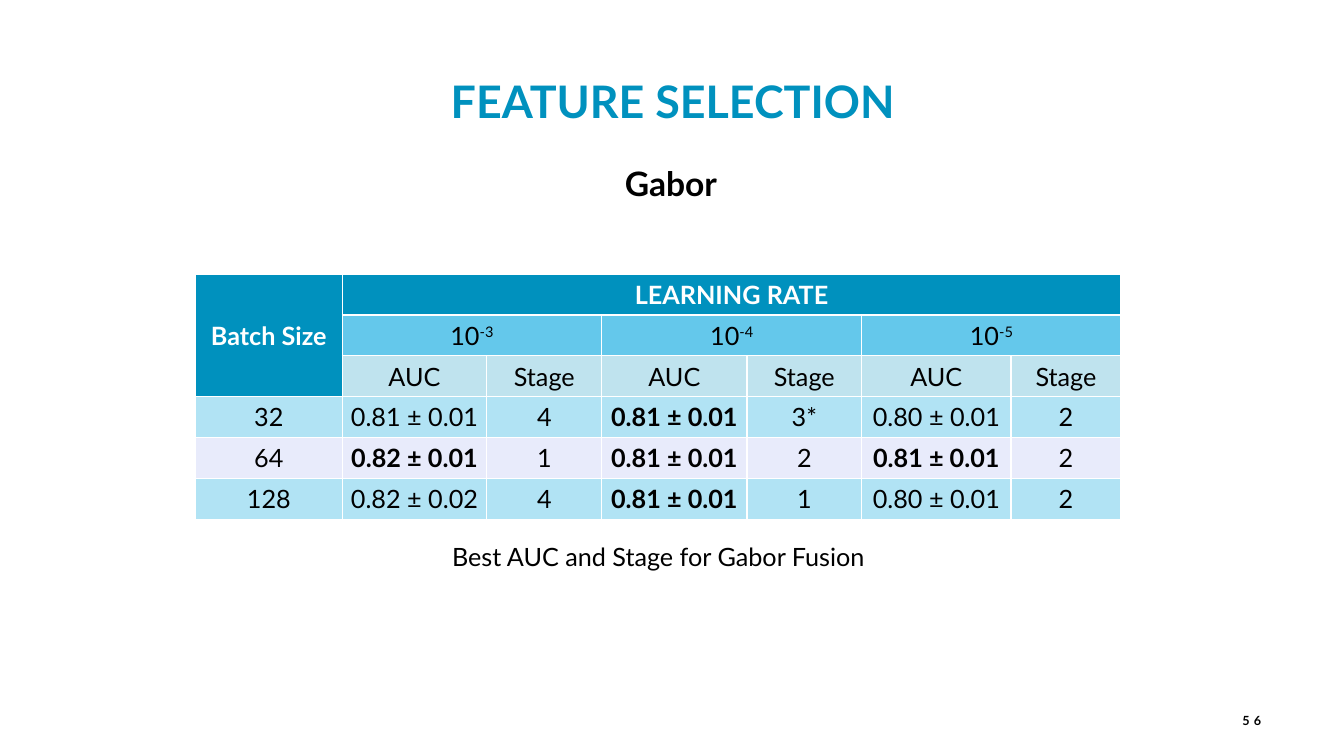
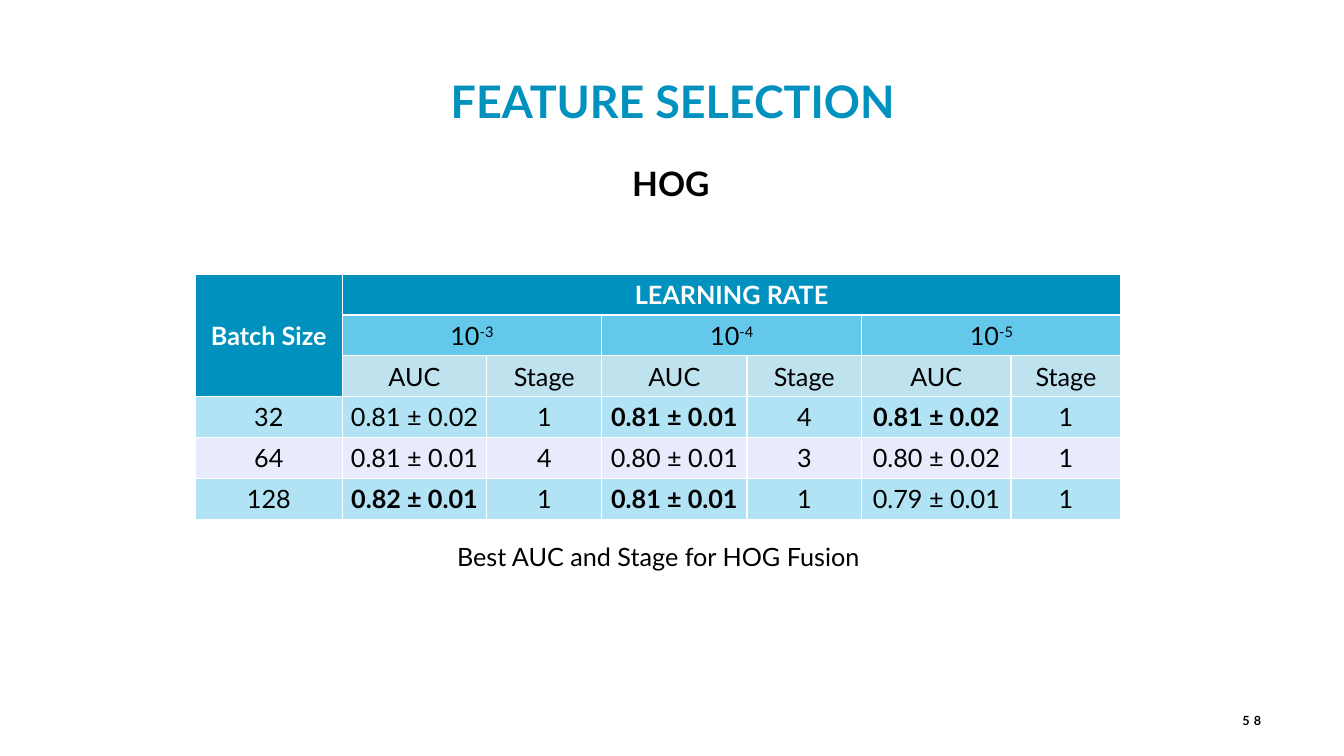
import lxml.etree
import pptx
import pptx.dml.color
import pptx.enum.text
import pptx.oxml.ns
import pptx.util

Pt = pptx.util.Pt
ALIGN = pptx.enum.text.PP_ALIGN
ANCHOR = pptx.enum.text.MSO_ANCHOR
qn = pptx.oxml.ns.qn

COLORS = {
    "blue": "0091BE",
    "sky": "64C8EB",
    "lilac": "E8EBFB",
    "black": "000000",
    "white": "FFFFFF",
}
FONT = "Lato"
TABLE_LEFT, TABLE_TOP, ROW_HEIGHT = 139.7, 195.8, 29.2
COLUMN_WIDTHS = [104.7, 103.4, 82.1, 103.7, 82, 106.6, 78.7]
TABLE_WIDTH = sum(COLUMN_WIDTHS)
RATES = ["-3", "-4", "-5"]
BATCH_SIZES = ["32", "64", "128"]
HEADER_ROWS = 3


def color(name):
    return pptx.dml.color.RGBColor.from_string(COLORS[name])


def set_attributes(target, values):
    for name, value in values.items():
        setattr(target, name, value)


class Deck:
    """Shared style together with the slide being built."""

    def __init__(self):
        self.presentation = pptx.Presentation()
        set_attributes(self.presentation,
                       {"slide_width": Pt(960), "slide_height": Pt(540)})
        self.slide = None

    def add_slide(self, subtitle, number):
        layout = self.presentation.slide_layouts[6]
        self.slide = self.presentation.slides.add_slide(layout)
        self.add_text(number, (851, 500.4, 56.9, 28.8), 9, bold=True,
                      align=ALIGN.RIGHT, anchor=ANCHOR.MIDDLE, spacing=3)
        self.add_text("FEATURE SELECTION", (0, 49, 961.2, 46), 32, "blue", True)
        self.add_text(subtitle, (-1.4, 113, 961.2, 36), 24, bold=True)

    def add_run(self, paragraph, text, size, color_name, bold, **attributes):
        run = paragraph.add_run()
        run.text = text
        set_attributes(run.font, {"name": FONT, "size": Pt(size), "bold": bold})
        run.font.color.rgb = color(color_name)
        for name, value in attributes.items():
            run.font._element.set(name, str(value))

    def add_text(self, text, box, size, color_name="black", bold=False,
                 align=ALIGN.CENTER, anchor=ANCHOR.TOP, spacing=0):
        shape = self.slide.shapes.add_textbox(*map(Pt, box))
        set_attributes(shape.text_frame,
                       {"word_wrap": True, "vertical_anchor": anchor})
        paragraph = shape.text_frame.paragraphs[0]
        paragraph.alignment = align
        self.add_run(paragraph, text, size, color_name, bold, spc=spacing * 100)

    def style_cell(self, cell, fill, opacity=100):
        cell.vertical_anchor = ANCHOR.MIDDLE
        cell.fill.solid()
        cell.fill.fore_color.rgb = color(fill)
        properties = cell._tc.get_or_add_tcPr()
        if opacity < 100:
            fill_color = properties.find(".//" + qn("a:srgbClr"))
            alpha = lxml.etree.SubElement(fill_color, qn("a:alpha"))
            alpha.set("val", str(opacity * 1000))
        # Borders come before the fill in the cell properties
        for index, side in enumerate("LRTB"):
            line = properties.makeelement(qn("a:ln" + side), {"w": str(Pt(1))})
            solid = lxml.etree.SubElement(line, qn("a:solidFill"))
            lxml.etree.SubElement(solid, qn("a:srgbClr"), val=COLORS["white"])
            properties.insert(index, line)

    def write_cell(self, cell, text, color_name="black", bold=False, exponent=""):
        paragraph = cell.text_frame.paragraphs[0]
        paragraph.alignment = ALIGN.CENTER
        self.add_run(paragraph, text, 18, color_name, bold)
        if exponent:
            self.add_run(paragraph, exponent, 18, color_name, bold, baseline=30000)

    def add_results(self, results, best):
        """results: one row per batch size; best: (row, rate) pairs in bold."""
        row_count = HEADER_ROWS + len(BATCH_SIZES)
        frame = self.slide.shapes.add_table(
            row_count, len(COLUMN_WIDTHS), Pt(TABLE_LEFT), Pt(TABLE_TOP),
            Pt(TABLE_WIDTH), Pt(ROW_HEIGHT * row_count))
        table = frame.table
        set_attributes(table, {"first_row": False, "horz_banding": False})
        for column, width in zip(table.columns, COLUMN_WIDTHS):
            column.width = Pt(width)

        # Fills and borders, row by row
        row_fills = [("blue", 100), ("sky", 100), ("blue", 25),
                     ("sky", 50), ("lilac", 100), ("sky", 50)]
        for row_index, row_fill in enumerate(row_fills):
            for column_index in range(len(COLUMN_WIDTHS)):
                in_corner = row_index < HEADER_ROWS and column_index == 0
                self.style_cell(table.cell(row_index, column_index),
                                *(("blue", 100) if in_corner else row_fill))

        # Headings
        table.cell(0, 0).merge(table.cell(HEADER_ROWS - 1, 0))
        table.cell(0, 1).merge(table.cell(0, len(COLUMN_WIDTHS) - 1))
        self.write_cell(table.cell(0, 0), "Batch Size", "white", True)
        self.write_cell(table.cell(0, 1), "LEARNING RATE", "white", True)
        for rate_index, exponent in enumerate(RATES):
            left = 1 + 2 * rate_index
            table.cell(1, left).merge(table.cell(1, left + 1))
            self.write_cell(table.cell(1, left), "10", exponent=exponent)
            self.write_cell(table.cell(2, left), "AUC")
            self.write_cell(table.cell(2, left + 1), "Stage")

        # Results
        margins = {"margin_left": Pt(2), "margin_right": Pt(2),
                   "margin_top": Pt(1.5), "margin_bottom": Pt(1.5)}
        for index, (batch_size, values) in enumerate(zip(BATCH_SIZES, results)):
            row = HEADER_ROWS + index
            table.rows[row].height = Pt(ROW_HEIGHT)
            self.write_cell(table.cell(row, 0), batch_size)
            for position, value in enumerate(values):
                rate_index, is_stage = divmod(position, 2)
                cell = table.cell(row, position + 1)
                set_attributes(cell, margins)
                bold = not is_stage and (index, rate_index) in best
                self.write_cell(cell, value, bold=bold)

    def add_caption(self, text):
        self.add_text(text, (TABLE_LEFT, 383, TABLE_WIDTH, 29), 18)


SLIDES = [
    ("Gabor", "56",
     [["0.81 ± 0.01", "4", "0.81 ± 0.01", "3*", "0.80 ± 0.01", "2"],
      ["0.82 ± 0.01", "1", "0.81 ± 0.01", "2", "0.81 ± 0.01", "2"],
      ["0.82 ± 0.02", "4", "0.81 ± 0.01", "1", "0.80 ± 0.01", "2"]],
     {(0, 1), (1, 0), (1, 1), (1, 2), (2, 1)}),
    ("HOG", "58",
     [["0.81 ± 0.02", "1", "0.81 ± 0.01", "4", "0.81 ± 0.02", "1"],
      ["0.81 ± 0.01", "4", "0.80 ± 0.01", "3", "0.80 ± 0.02", "1"],
      ["0.82 ± 0.01", "1", "0.81 ± 0.01", "1", "0.79 ± 0.01", "1"]],
     {(0, 1), (0, 2), (2, 0), (2, 1)}),
]


def main():
    deck = Deck()
    for feature, number, results, best in SLIDES:
        deck.add_slide(feature, number)
        deck.add_results(results, best)
        deck.add_caption(f"Best AUC and Stage for {feature} Fusion")
    deck.presentation.save("out.pptx")


if __name__ == "__main__":
    main()
